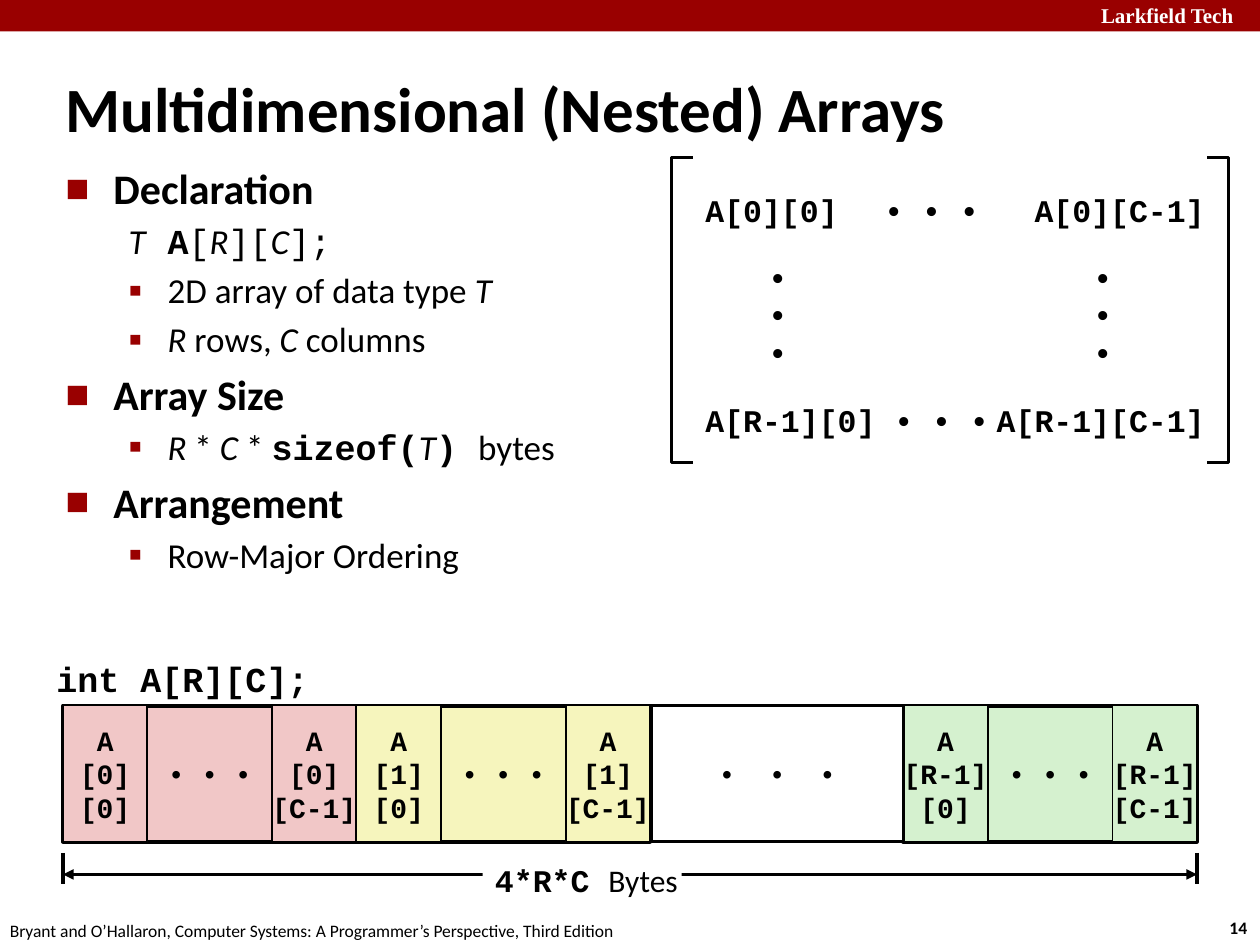
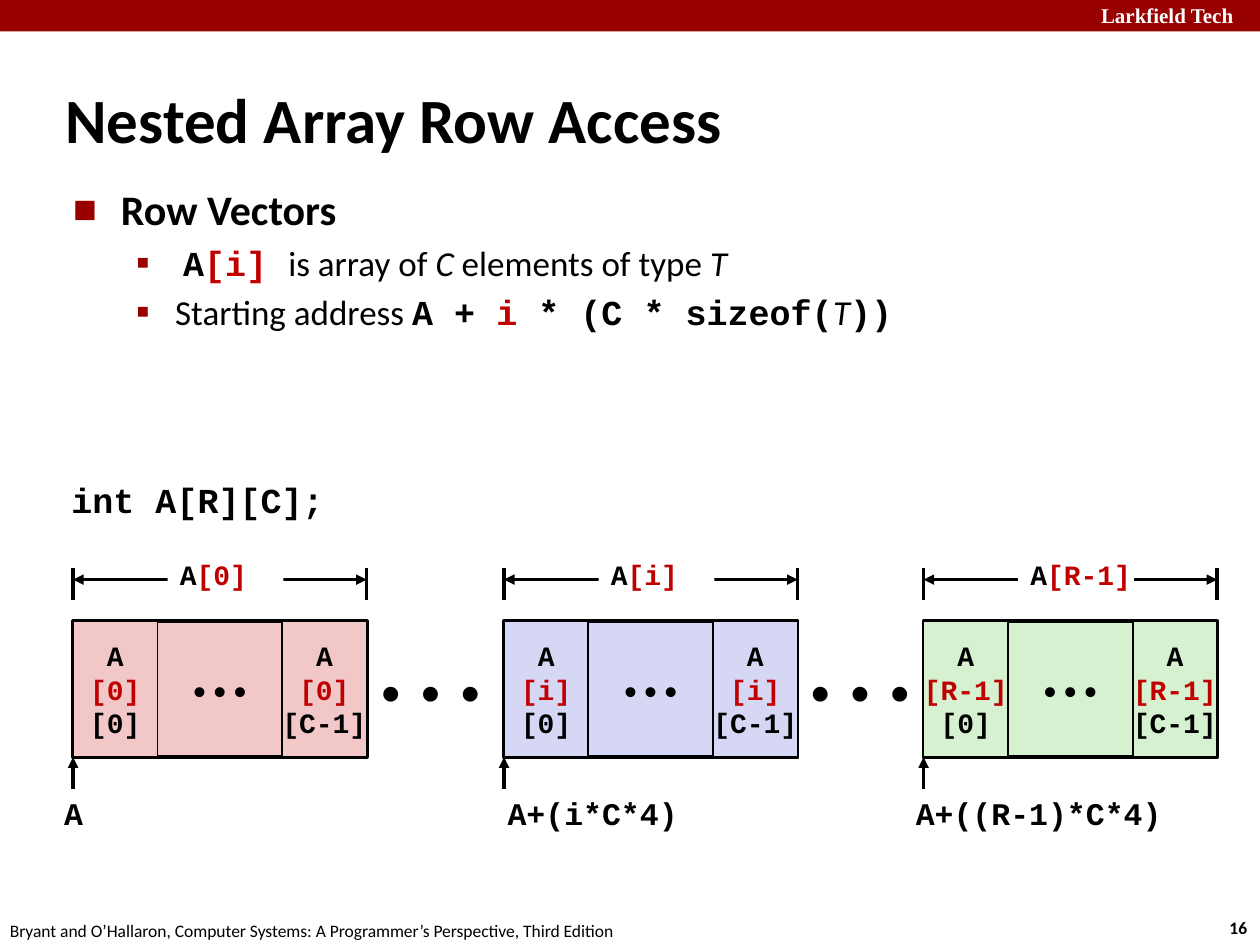
from pptx import Presentation, util as u
from pptx.dml.color import RGBColor
from pptx.enum import shapes, text
from pptx.oxml import ns, xmlchemy

INK, WHITE, BAND, RED = "000000", "FFFFFF", "990000", "C00000"
THEME = {
    "fills": {"pink": "F1C7C7", "yellow": "F6F5BD", "green": "D5F1CF", "blue": "D6D6F5"},
    "sizes": {"title": 36, "head": 24, "item": 20, "code": 20, "label": 18, "cell": 16,
              "gap": 24, "brand": 12, "foot": 10},
    # Each text style: font values and colour
    "styles": {
        "plain": ({"name": "Calibri", "bold": False, "italic": False}, INK),
        "strong": ({"name": "Calibri", "bold": True}, INK),
        "var": ({"name": "Calibri", "bold": False, "italic": True}, INK),
        "mono": ({"name": "Courier New", "bold": False}, INK),
        "code": ({"name": "Courier New", "bold": True}, INK),
        "index": ({"name": "Courier New", "bold": True}, RED),
        "brand": ({"name": "Times New Roman", "bold": True}, WHITE),
    },
    # Each list level: left margin, indent, bullet, bullet size in percent
    "levels": {"head": (0.38, -0.38, "■", 60), "item": (0.81, -0.31, "▪", 110),
               "bare": (0.81, -0.31, None, 0)},
}
BRAND = "Larkfield Tech"
FOOTER = "Bryant and O’Hallaron, Computer Systems: A Programmer’s Perspective, Third Edition"
DECLARATION = "int A[R][C];"
DOTS = "• • •"

ARRAYS = {
    "number": "14",
    "title": ("Multidimensional (Nested) Arrays", (0.42, 0.54, 8.83, 0.63)),
    "body_at": (0.42, 1.24, 4.85, 3.68),
    "body": [
        ("head", [("strong", "Declaration")]),
        ("bare", [("var", "T\t"), ("code", "A"), ("mono", "["), ("var", "R"), ("mono", "]["),
                  ("var", "C"), ("mono", "];")]),
        ("item", [("plain", "2D array of data type "), ("var", "T")]),
        ("item", [("var", "R"), ("plain", " rows, "), ("var", "C"), ("plain", " columns")]),
        ("head", [("strong", "Array Size")]),
        ("item", [("var", "R"), ("plain", " * "), ("var", "C "), ("plain", "* "),
                  ("code", "sizeof("), ("var", "T"), ("code", ") "), ("plain", "bytes")]),
        ("head", [("strong", "Arrangement")]),
        ("item", [("plain", "Row-Major Ordering")]),
    ],
    "declaration_at": (0.35, 5.17, 2.2, 0.43),
    # Matrix row: top, first element, left of dots, last element
    "matrix": [(1.42, "A[0][0]", 6.92, "A[0][C-1]"), (3.08, "A[R-1][0]", 7.0, "A[R-1][C-1]")],
    "rows": [(0.5, "[0]", "pink"), (2.83, "[1]", "yellow"), (7.17, "[R-1]", "green")],
}
ACCESS = {
    "number": "16",
    "title": ("Nested Array Row Access", (0.42, 0.62, 7.58, 0.63)),
    "body_at": (0.48, 1.41, 7.43, 1.59),
    "body": [
        ("head", [("strong", "Row Vectors")]),
        ("item", [("plain", " "), ("code", "A"), ("index", "[i] "), ("plain", "is array of "),
                  ("var", "C"), ("plain", " elements of type "), ("var", "T")]),
        ("item", [("plain", "Starting address "), ("code", "A + "), ("index", "i"),
                  ("code", " * (C * sizeof("), ("var", "T"), ("code", "))")]),
    ],
    "declaration_at": (0.47, 3.75, 2.2, 0.43),
    # Row: left, index, fill, start address, left and width of the address
    "rows": [(0.58, "[0]", "pink", "A", 0.37, 0.43),
             (4.0, "[i]", "blue", "A+(i*C*4)", 3.93, 1.98),
             (7.33, "[R-1]", "green", "A+((R-1)*C*4)", 7.17, 2.5)],
}
ROW_WIDTH, ROW_HEIGHT, CELL_WIDTH = 2.33, 1.08, 0.67
TICK = 0.25


def inches(at):
    return [u.Inches(value) for value in at]


def colour(value):
    return RGBColor.from_string(value)


def child(parent, tag, **values):
    node = xmlchemy.OxmlElement(tag)
    for key, value in values.items():
        node.set(key, str(value))
    parent.append(node)


def add_spans(para, spans, size, spacing=0):
    for style, words in spans:
        span = para.add_run()
        span.text = words
        values, ink = THEME["styles"][style]
        for key, value in {**values, "size": u.Pt(THEME["sizes"][size])}.items():
            setattr(span.font, key, value)
        span.font.color.rgb = colour(ink)
        if spacing:
            span.font._element.set("spc", str(spacing))


def write(shape, lines, size, align="LEFT", wrap=False, anchor="MIDDLE", spacing=0):
    """Fill a shape with lines, each a list of (style, words)."""
    frame = shape.text_frame
    for key, value in {"word_wrap": wrap, "auto_size": text.MSO_AUTO_SIZE.NONE,
                       "vertical_anchor": text.MSO_ANCHOR[anchor]}.items():
        setattr(frame, key, value)
    for number, spans in enumerate(lines):
        para = frame.add_paragraph() if number else frame.paragraphs[0]
        para.alignment = text.PP_ALIGN[align]
        add_spans(para, spans, size, spacing)


def add_label(page, at, spans, size, **layout):
    box = page.shapes.add_textbox(*inches(at))
    write(box, [spans], size, anchor="TOP", **layout)


def add_box(page, at, fill=WHITE, line=0, lines=(), size="cell", **layout):
    box = page.shapes.add_shape(shapes.MSO_SHAPE.RECTANGLE, *inches(at))
    box.shadow.inherit = False
    box.fill.solid()
    box.fill.fore_color.rgb = colour(fill)
    outline(box, line)
    if lines:
        write(box, lines, size, **layout)


def outline(shape, width):
    if width:
        shape.line.color.rgb = colour(INK)
        shape.line.width = u.Pt(width)
    else:
        shape.line.fill.background()


def add_line(page, start, end, ends=()):
    line = page.shapes.add_connector(shapes.MSO_CONNECTOR.STRAIGHT, *inches(start + end))
    outline(line, 2)
    properties = line._element.spPr
    for tag in ends:
        child(properties.find(ns.qn("a:ln")), tag, type="triangle")
    child(properties, "a:effectLst")


def add_span_arrow(page, left, right, top, drop):
    """Measure from left to right: two ticks and a double arrow, drop below their top."""
    for x in (left, right):
        add_line(page, (x, top), (x, top + TICK))
    add_line(page, (left, top + drop), (right, top + drop), ("a:headEnd", "a:tailEnd"))


def add_row(page, left, top, index, fill, index_style, dot_style):
    """Draw one array row: first element, dots, last element."""
    fill = THEME["fills"][fill]
    add_box(page, (left, top, ROW_WIDTH, ROW_HEIGHT), fill, 2.25, [[(dot_style, DOTS)]],
            align="CENTER")
    for x, column in ((left, "[0]"), (left + ROW_WIDTH - CELL_WIDTH, "[C-1]")):
        add_box(page, (x, top, CELL_WIDTH, ROW_HEIGHT), fill, 1,
                [[("code", "A")], [(index_style, index)], [("code", column)]], align="CENTER")


def add_bracket(page, tip, spine, top, bottom):
    points = [(u.Inches(x), u.Inches(y)) for x, y in
              ((tip, top), (spine, top), (spine, bottom), (tip, bottom))]
    builder = page.shapes.build_freeform(*points[0])
    builder.add_line_segments(points[1:], close=False)
    bracket = builder.convert_to_shape()
    bracket.shadow.inherit = False
    bracket.fill.background()
    outline(bracket, 2)


def place(holder, at):
    for key, value in zip(("left", "top", "width", "height"), inches(at)):
        setattr(holder, key, value)


def indent(para, margin, first):
    properties = para._p.get_or_add_pPr()
    properties.set("marL", str(u.Inches(margin)))
    properties.set("indent", str(u.Inches(first)))
    return properties


def add_page(deck, content):
    """Add a slide with band, footer, title, list and array declaration."""
    page = deck.slides.add_slide(deck.slide_layouts[1])
    add_box(page, (0, 0, 10, 0.25), BAND)
    add_label(page, (8.64, -0.03, 1.43, 0.3), [("brand", BRAND)], "brand", wrap=True)
    add_label(page, (9.66, 7.23, 0.37, 0.27), [("strong", content["number"])], "foot")
    add_label(page, (-0.02, 7.25, 5.08, 0.27), [("plain", FOOTER)], "foot")

    words, at = content["title"]
    title, body = page.placeholders
    place(title, at)
    write(title, [[("strong", words)]], "title", wrap=True)
    indent(title.text_frame.paragraphs[0], 0.13, -0.13)

    place(body, content["body_at"])
    write(body, [[] for _ in content["body"]], "item", wrap=True, anchor="TOP")
    for para, (kind, spans) in zip(body.text_frame.paragraphs, content["body"]):
        para.level = 0 if kind == "head" else 1
        add_spans(para, spans, "head" if kind == "head" else "item")
        margin, first, bullet, percent = THEME["levels"][kind]
        properties = indent(para, margin, first)
        if bullet:
            tint = xmlchemy.OxmlElement("a:buClr")
            child(tint, "a:srgbClr", val=BAND)
            properties.append(tint)
            child(properties, "a:buSzPct", val=percent * 1000)
            child(properties, "a:buFont", typeface="Calibri")
            child(properties, "a:buChar", char=bullet)
        else:
            child(properties, "a:buNone")
    add_label(page, content["declaration_at"], [("code", DECLARATION)], "code", align="RIGHT")
    return page


def build_arrays(deck):
    page = add_page(deck, ARRAYS)
    for top, first, dots_left, last in ARRAYS["matrix"]:
        for x, width, words, align in ((5.5, 1.33, first, "LEFT"), (dots_left, 1, DOTS, "LEFT"),
                                       (8.33, 1.33, last, "RIGHT")):
            add_box(page, (x, top, width, 0.5), lines=[[("code", words)]], size="label",
                    align=align)
    for x in (6, 8.58):
        add_box(page, (x, 2.08, 0.5, 0.83), lines=[[("code", "•")]] * 3, size="label")
    for tip, spine in ((5.5, 5.33), (9.58, 9.75)):
        add_bracket(page, tip, spine, 1.25, 3.67)

    top = 5.6
    for left, index, fill in ARRAYS["rows"]:
        add_row(page, left, top, index, fill, "code", "mono")
    add_box(page, (5.17, top, 2, ROW_HEIGHT), WHITE, 2, [[("mono", DOTS)]], align="CENTER",
            spacing=480)
    add_span_arrow(page, 0.5, 9.5, 6.77, 0.17)
    add_box(page, (3.83, 6.77, 1.58, 0.42), lines=[[("code", "4*R*C "), ("plain", "Bytes")]],
            size="label")


def build_access(deck):
    page = add_page(deck, ACCESS)
    top = 4.93
    bottom = top + ROW_HEIGHT
    for x in (2.92, 6.33):
        add_box(page, (x, top, 1.08, ROW_HEIGHT), lines=[[("plain", DOTS)]], size="gap",
                spacing=270)
    for left, index, fill, address, address_left, width in ACCESS["rows"]:
        add_row(page, left, top, index, fill, "index", "plain")
        add_span_arrow(page, left, left + ROW_WIDTH, 4.51, 0.09)
        add_box(page, (left + 0.75, 4.35, 0.92, 0.42), lines=[[("code", "A"), ("index", index)]])
        add_line(page, (left, bottom + TICK), (left, bottom), ("a:tailEnd",))
        add_label(page, (address_left, 6.25, width, 0.4), [("code", address)], "label", wrap=True,
                  align="CENTER" if address == "A" else "LEFT")


def main():
    deck = Presentation()
    deck.slide_width, deck.slide_height = inches((10, 7.5))
    build_arrays(deck)
    build_access(deck)
    deck.save("out.pptx")


if __name__ == "__main__":
    main()
